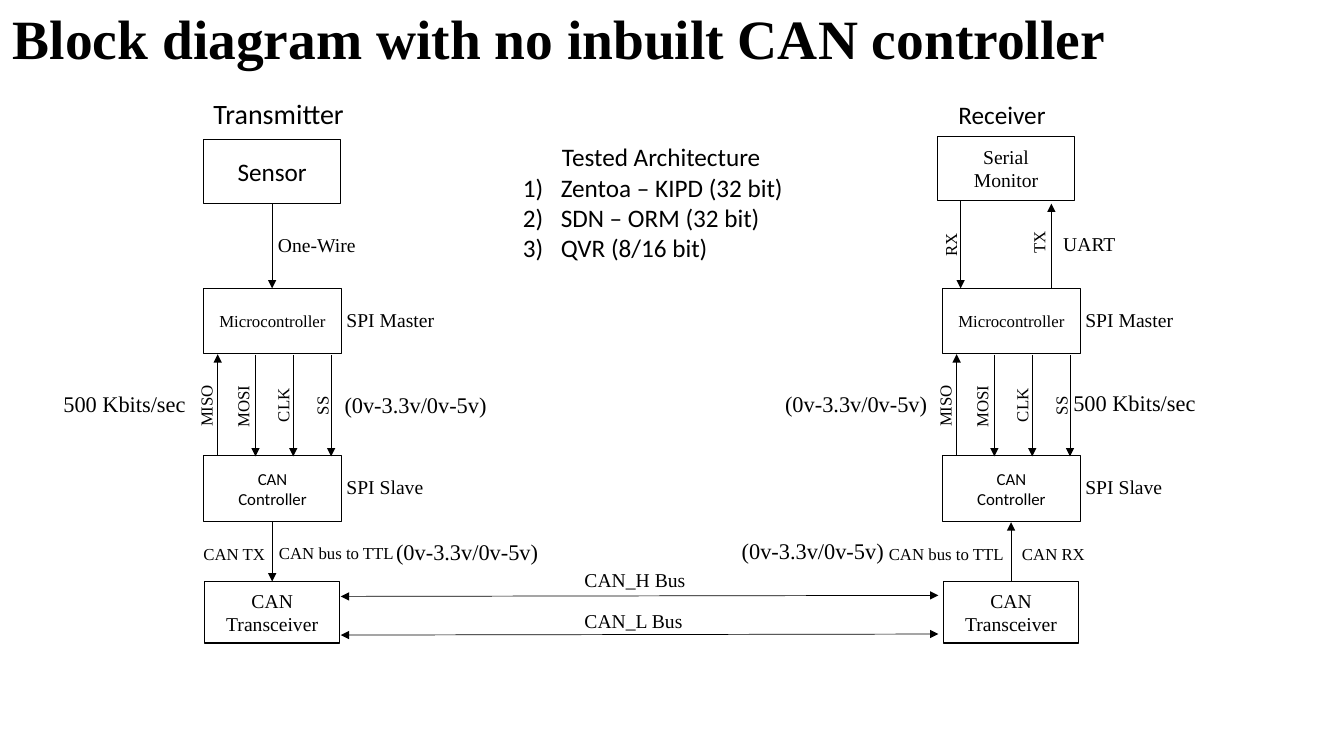
import pptx
import pptx.dml.color
import pptx.enum.shapes
import pptx.enum.text
import pptx.oxml
import pptx.oxml.ns
import pptx.util

Pt = pptx.util.Pt
ANCHOR = pptx.enum.text.MSO_ANCHOR
ALIGN = pptx.enum.text.PP_ALIGN
BLACK, WHITE = "000000", "FFFFFF"
SERIF, SANS = "Times New Roman", "Calibri"
RECEIVER_SHIFT = 527.8
VOLTAGE = "(0v-3.3v/0v-5v)"


def color(value):
    return pptx.dml.color.RGBColor.from_string(value)


def add_xml(parent, tag, **attributes):
    element = pptx.oxml.parse_xml(f"<a:{tag} {pptx.oxml.ns.nsdecls('a')}/>")
    for key, value in attributes.items():
        element.set(key, value)
    parent.append(element)


def write(frame, text, size=14, font=SERIF, bold=False, align=ALIGN.LEFT,
          anchor=ANCHOR.TOP, spacing=None, inset=7.2):
    """Fill a text frame, one paragraph per line of text."""
    frame.word_wrap = True
    frame.vertical_anchor = anchor
    frame.margin_left = frame.margin_right = Pt(inset)
    for i, line in enumerate(text.split("\n")):
        paragraph = frame.add_paragraph() if i else frame.paragraphs[0]
        paragraph.alignment = align
        paragraph.line_spacing = spacing
        run = paragraph.add_run()
        run.text = line
        run.font.size = Pt(size)
        run.font.name = font
        run.font.bold = bold
        run.font.color.rgb = color(BLACK)


def label(slide, text, left, top, width, height=None, size=14, **style):
    height = height or 1.2 * size + 7.2
    box = slide.shapes.add_textbox(Pt(left), Pt(top), Pt(width), Pt(height))
    write(box.text_frame, text, size=size, **style)
    return box


def vertical_label(slide, text, center_x, center_y, length):
    height = 21.6
    box = label(slide, text, center_x - length / 2, center_y - height / 2,
                length, height, size=12)
    box.rotation = 270


def block(slide, text, left, top, width, height, border=0.75, **style):
    shape = slide.shapes.add_shape(
        pptx.enum.shapes.MSO_SHAPE.RECTANGLE,
        Pt(left), Pt(top), Pt(width), Pt(height))
    shape.shadow.inherit = False
    shape.fill.solid()
    shape.fill.fore_color.rgb = color(WHITE)
    shape.line.color.rgb = color(BLACK)
    shape.line.width = Pt(border)
    write(shape.text_frame, text, align=ALIGN.CENTER, anchor=ANCHOR.MIDDLE,
          **style)


def arrow(slide, x1, y1, x2, y2, both_ends=False):
    line = slide.shapes.add_connector(
        pptx.enum.shapes.MSO_CONNECTOR.STRAIGHT, Pt(x1), Pt(y1), Pt(x2), Pt(y2))
    line.line.color.rgb = color(BLACK)
    line.line.width = Pt(0.5)
    if both_ends:
        add_xml(line.line._get_or_add_ln(), "headEnd", type="triangle")
    add_xml(line.line._get_or_add_ln(), "tailEnd", type="triangle")
    add_xml(line._element.spPr, "effectLst")


def can_node(slide, shift):
    """Microcontroller, CAN controller and transceiver with their SPI link."""
    left = 145.4 + shift
    block(slide, "Microcontroller", left, 206, 98.6, 46.8, size=12)
    block(slide, "CAN\nController", left, 325.4, 98.6, 47.5, size=12, font=SANS)
    block(slide, "CAN Transceiver", left + 0.8, 415.4, 96.5, 44, border=1)
    label(slide, "SPI Master", left + 95, 216.7, 94)
    label(slide, "SPI Slave", left + 95, 335.5, 94)

    # SPI signals: name, label centre, label length
    signals = [("MISO", 147.2, 283, 58), ("MOSI", 173.5, 288.7, 47.5),
               ("CLK", 202, 286.6, 44), ("SS", 230, 288, 31)]
    for i, (name, center_x, center_y, length) in enumerate(signals):
        x = left + 10.1 + 27 * i
        ends = (325.4, 253) if name == "MISO" else (253.5, 326)
        arrow(slide, x, ends[0], x, ends[1])
        vertical_label(slide, name, center_x + shift, center_y, length)


def transmitter(slide):
    label(slide, "Transmitter", 145.4, 65.3, 120, size=20, font=SANS)
    block(slide, "Sensor", 145.4, 99.7, 98, 46, size=18, font=SANS)
    arrow(slide, 194.4, 145.7, 194.4, 206)
    label(slide, "One-Wire", 191.5, 162.7, 81)
    can_node(slide, 0)
    arrow(slide, 194.4, 373, 194.4, 415.4)
    label(slide, "CAN TX", 138.2, 385.2, 65, size=12)
    label(slide, "CAN bus to TTL", 192.2, 384.5, 100, size=12)
    label(slide, "500 Kbits/sec", 38.2, 275, 108, size=16)
    label(slide, VOLTAGE, 239, 275.8, 120, size=16)
    label(slide, VOLTAGE, 275.8, 380.9, 120, size=16)


def receiver(slide):
    label(slide, "Receiver", 677.5, 67.3, 90, size=18, font=SANS)
    block(slide, "Serial Monitor", 669.6, 97.2, 98, 46, inset=12)
    arrow(slide, 686.2, 143.3, 686.2, 206)
    arrow(slide, 751, 206, 751, 145.4)
    vertical_label(slide, "RX", 679, 172.8, 34.6)
    vertical_label(slide, "TX", 742, 170.6, 35.3)
    label(slide, "UART", 752.4, 162, 81)
    can_node(slide, RECEIVER_SHIFT)
    arrow(slide, 722.2, 415.4, 722.2, 373)
    label(slide, "CAN RX", 722.9, 385.2, 65, size=12)
    label(slide, "CAN bus to TTL", 627.8, 385.2, 100, size=12)
    label(slide, "500 Kbits/sec", 759.6, 274.3, 108, size=16)
    label(slide, VOLTAGE, 553.7, 275, 120, size=16)
    label(slide, VOLTAGE, 522.7, 380.2, 120, size=16)


def can_bus(slide):
    for name, label_top, y in [("CAN_H Bus", 401.8, 426),
                               ("CAN_L Bus", 431.3, 453.6)]:
        arrow(slide, 243.4, y, 670.3, y - 0.7, both_ends=True)
        label(slide, name, 410.4, label_top, 94)


def tested_architecture(slide):
    box = label(slide, "Tested Architecture\nZentoa – KIPD (32 bit)\n"
                "SDN – ORM (32 bit)\nQVR (8/16 bit)",
                366.5, 97.6, 211.7, 94.3, size=18, font=SANS)
    heading, *items = box.text_frame.paragraphs
    heading.alignment = ALIGN.CENTER
    for item in items:
        properties = item._p.get_or_add_pPr()
        properties.set("marL", str(Pt(27)))
        properties.set("indent", str(-Pt(27)))
        add_xml(properties, "buFont", typeface="+mj-lt")
        add_xml(properties, "buAutoNum", type="arabicParenR")


def main():
    deck = pptx.Presentation()
    deck.slide_width, deck.slide_height = Pt(960), Pt(540)
    slide = deck.slides.add_slide(deck.slide_layouts[6])
    label(slide, "Block diagram with no inbuilt CAN controller", 2.2, 6.5, 812,
          46.8, size=39.6, bold=True, anchor=ANCHOR.MIDDLE, spacing=0.9)
    transmitter(slide)
    receiver(slide)
    can_bus(slide)
    tested_architecture(slide)
    deck.save("out.pptx")


main()
